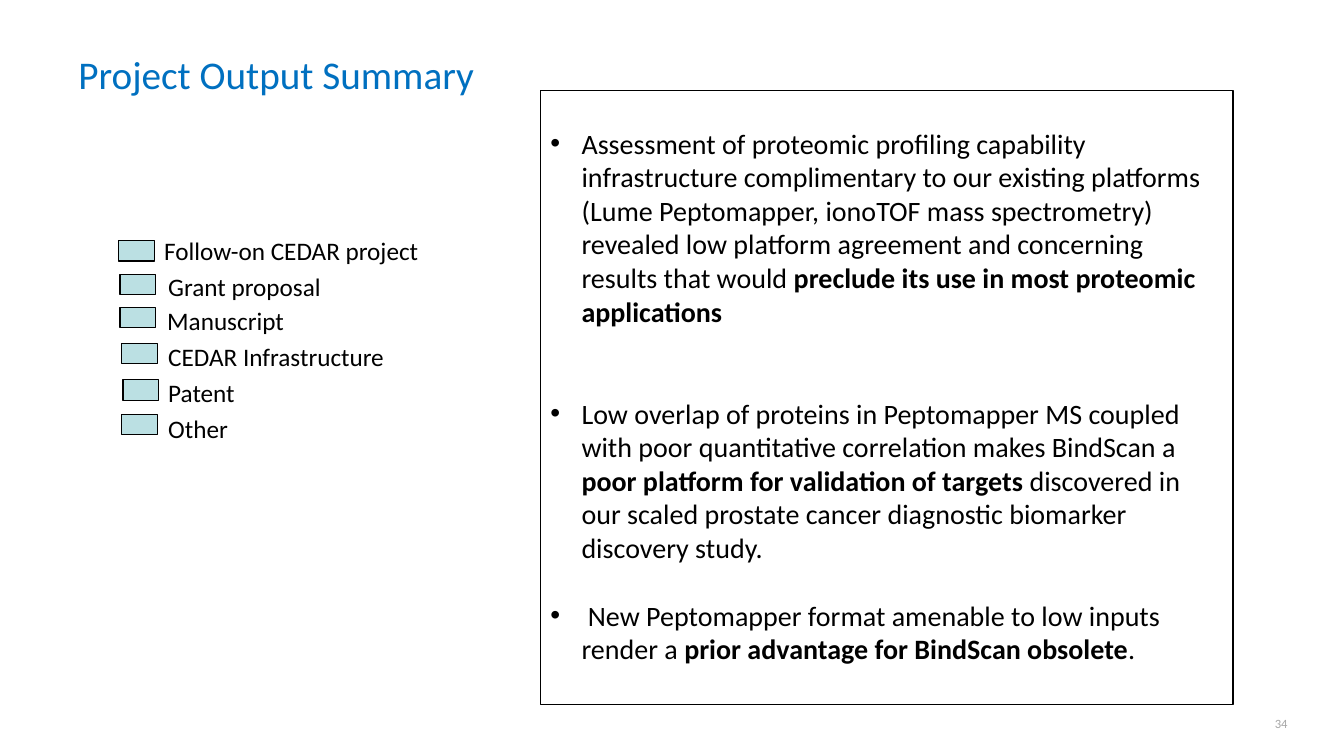
from pptx import Presentation
from pptx.dml.color import RGBColor
from pptx.enum.shapes import MSO_SHAPE
from pptx.enum.text import MSO_ANCHOR, PP_ALIGN
from pptx.oxml import parse_xml
from pptx.oxml.ns import nsdecls
from pptx.util import Inches, Pt

BLACK = RGBColor(0x00, 0x00, 0x00)
BLUE = RGBColor(0x00, 0x70, 0xC0)
GREY = RGBColor(0xA6, 0xA6, 0xA6)
TEAL = RGBColor(0xBB, 0xE0, 0xE3)

OUTPUT_TYPES = [
    ("Follow-on CEDAR project", (1.18, 2.39), (1.53, 2.29)),
    ("Grant proposal", (1.19, 2.72), (1.57, 2.64)),
    ("Manuscript", (1.19, 3.05), (1.56, 2.98)),
    ("CEDAR Infrastructure", (1.21, 3.41), (1.57, 3.34)),
    ("Patent", (1.22, 3.77), (1.57, 3.69)),
    ("Other", (1.21, 4.11), (1.57, 4.05)),
]

FINDINGS = [
    (0, [
        ("Assessment of proteomic profiling capability infrastructure complimentary "
         "to our existing platforms (Lume Peptomapper, ionoTOF mass spectrometry) "
         "revealed low platform agreement and concerning results that would ", False),
        ("preclude its use in most proteomic applications", True),
    ]),
    (48.8, [
        ("Low overlap of proteins in Peptomapper MS coupled with poor quantitative "
         "correlation makes BindScan a ", False),
        ("poor platform for validation of targets ", True),
        ("discovered in our scaled prostate cancer diagnostic biomarker "
         "discovery study.", False),
    ]),
    (24.4, [
        (" New Peptomapper format amenable to low inputs render a ", False),
        ("prior advantage for BindScan obsolete", True),
        (".", False),
    ]),
]


class SummarySlide:
    font_name = "Calibri"

    def __init__(self, slide):
        self.slide = slide

    def apply(self, target, formats):
        for attribute, value in formats.items():
            setattr(target, attribute, value)

    def add_phrase(self, paragraph, text, size, color, bold=False):
        run = paragraph.add_run()
        run.text = text
        self.apply(run.font, {"name": self.font_name, "size": Pt(size), "bold": bold})
        run.font.color.rgb = color

    def label(self, text, box, size, color=BLACK, align=PP_ALIGN.LEFT, frame_format=None):
        frame = self.slide.shapes.add_textbox(*map(Inches, box)).text_frame
        self.apply(frame, {"word_wrap": True, **(frame_format or {})})
        paragraph = frame.paragraphs[0]
        paragraph.alignment = align
        self.add_phrase(paragraph, text, size, color)

    def rectangle(self, box, fill=None):
        shape = self.slide.shapes.add_shape(MSO_SHAPE.RECTANGLE, *map(Inches, box))
        shape.shadow.inherit = False
        if fill is None:
            shape.fill.background()
        else:
            shape.fill.solid()
            shape.fill.fore_color.rgb = fill
        shape.line.color.rgb = BLACK
        shape.line.width = Pt(0.75)
        return shape

    def bullet_panel(self, box, findings):
        frame = self.rectangle(box).text_frame
        self.apply(frame, {
            "word_wrap": True,
            "vertical_anchor": MSO_ANCHOR.TOP,
            "margin_top": Inches(0.35),
        })
        for index, (gap, phrases) in enumerate(findings):
            paragraph = frame.add_paragraph() if index else frame.paragraphs[0]
            properties = paragraph._p.get_or_add_pPr()
            properties.set("marL", str(Inches(0.31)))
            properties.set("indent", str(-Inches(0.31)))
            properties.append(parse_xml(f'<a:buFont {nsdecls("a")} typeface="Arial"/>'))
            properties.append(parse_xml(f'<a:buChar {nsdecls("a")} char="•"/>'))
            self.apply(paragraph, {"alignment": PP_ALIGN.LEFT, "space_before": Pt(gap)})
            for text, bold in phrases:
                self.add_phrase(paragraph, text, 20, BLACK, bold)


def main():
    presentation = Presentation()
    presentation.slide_width = Inches(13.33)
    presentation.slide_height = Inches(7.5)
    summary = SummarySlide(presentation.slides.add_slide(presentation.slide_layouts[6]))

    no_margins = dict.fromkeys(
        ("margin_left", "margin_top", "margin_right", "margin_bottom"), 0)
    summary.label("34", (12.37, 7.1, 0.4, 0.15), 9, GREY, PP_ALIGN.RIGHT,
                  {**no_margins, "vertical_anchor": MSO_ANCHOR.BOTTOM})
    summary.label("Project Output Summary", (0.68, 0.45, 11.97, 0.85), 28, BLUE)
    summary.bullet_panel((5.36, 0.9, 6.87, 6.09), FINDINGS)
    for output_type, checkbox_corner, label_corner in OUTPUT_TYPES:
        summary.rectangle((*checkbox_corner, 0.35, 0.2), TEAL)
        summary.label(output_type, (*label_corner, 3.95, 0.4), 18)

    presentation.save("out.pptx")


if __name__ == "__main__":
    main()
